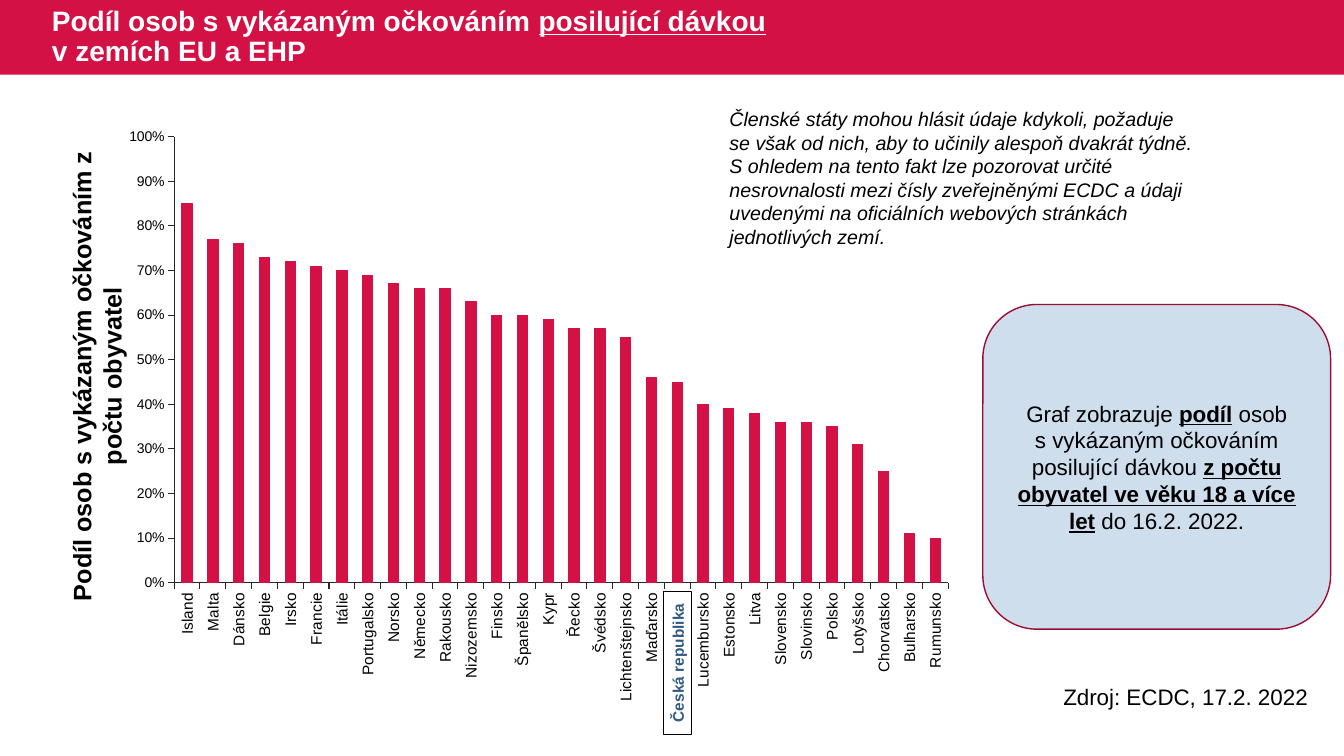
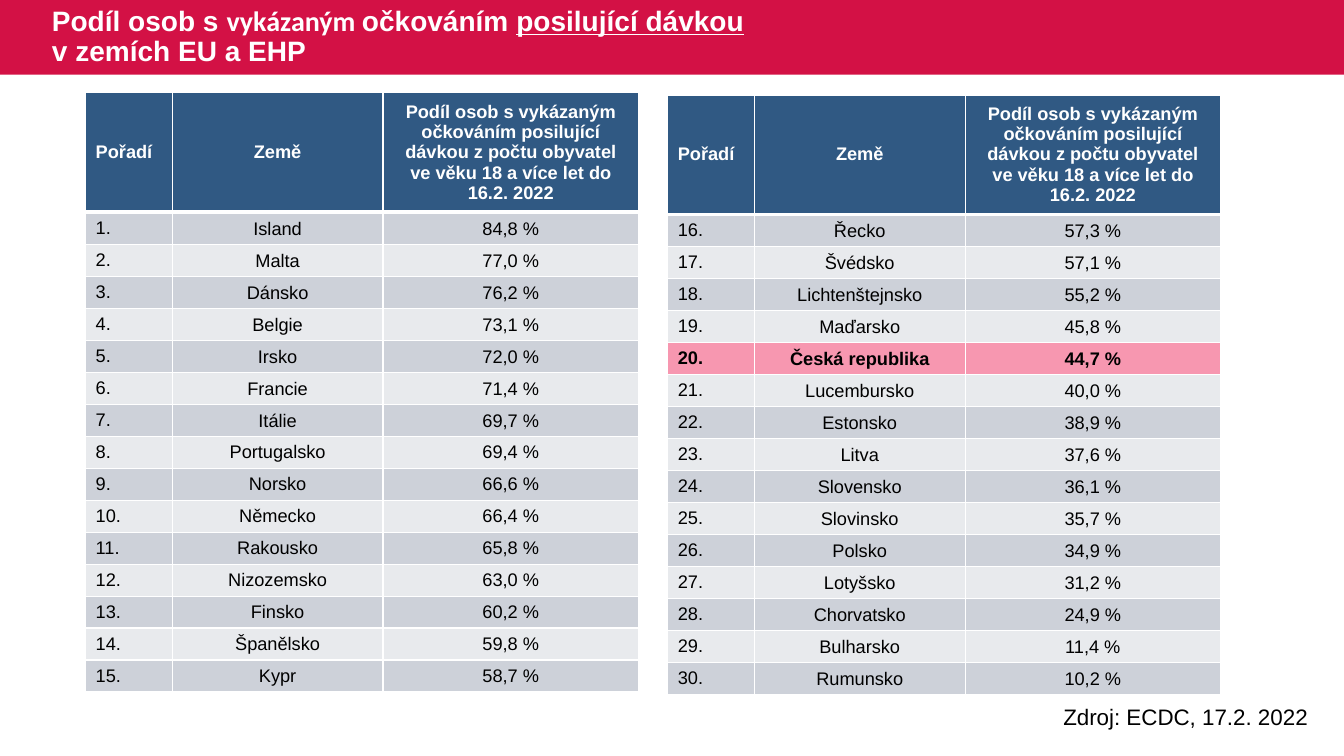
from dataclasses import dataclass, field
from typing import Any, NamedTuple

from lxml import etree
from pptx import Presentation
from pptx import util as u
from pptx.chart import data
from pptx.dml import color
from pptx.enum import chart as ch
from pptx.enum import shapes, text
from pptx.oxml import ns

COLORS = {
    "band": "D31145", "band_dark": "9C0D33", "callout": "CFDEED",
    "header": "305983", "odd": "CDD1D9", "even": "E8EAED", "focus": "F797B0",
    "axis": "262626", "black": "000000", "white": "FFFFFF",
}
FONT = "Arial"
WIDTH, HEIGHT = u.Inches(13.33), u.Inches(7.5)
COLS, ROWS = 32, 18
BAND_ROWS = 1.78
NBSP = chr(160)
FOCUS = "Česká republika"
CENTER = text.PP_ALIGN.CENTER
MIDDLE = text.MSO_ANCHOR.MIDDLE
TOP = text.MSO_ANCHOR.TOP


class Run(NamedTuple):
    text: str
    fmt: dict[str, Any] = {}


class Share(NamedTuple):
    country: str
    percent: float


@dataclass
class Box:
    col: float
    row: float
    cols: float
    rows: float

    def emu(self) -> tuple[int, int, int, int]:
        return across(self.col), down(self.row), across(self.cols), down(self.rows)


@dataclass
class Block:
    box: Box
    runs: list[Run]
    size: float
    color: str = "black"
    fmt: dict[str, Any] = field(default_factory=dict)
    align: Any = None
    anchor: Any = TOP
    spacing: float | None = None
    rotation: int = 0
    shape: Any = None
    fill: str = "white"
    line: str | None = None


SHARES = [Share(*s) for s in (
    ("Island", 84.8), ("Malta", 77.0), ("Dánsko", 76.2), ("Belgie", 73.1),
    ("Irsko", 72.0), ("Francie", 71.4), ("Itálie", 69.7), ("Portugalsko", 69.4),
    ("Norsko", 66.6), ("Německo", 66.4), ("Rakousko", 65.8), ("Nizozemsko", 63.0),
    ("Finsko", 60.2), ("Španělsko", 59.8), ("Kypr", 58.7), ("Řecko", 57.3),
    ("Švédsko", 57.1), ("Lichtenštejnsko", 55.2), ("Maďarsko", 45.8), (FOCUS, 44.7),
    ("Lucembursko", 40.0), ("Estonsko", 38.9), ("Litva", 37.6), ("Slovensko", 36.1),
    ("Slovinsko", 35.7), ("Polsko", 34.9), ("Lotyšsko", 31.2), ("Chorvatsko", 24.9),
    ("Bulharsko", 11.4), ("Rumunsko", 10.2),
)]
HEADINGS = (
    "Pořadí", "Země",
    "Podíl osob s vykázaným očkováním posilující dávkou z počtu obyvatel "
    "ve věku 18 a více let do 16.2. 2022",
)
TABLE_COLS = (2.06, 5.02, 6.08)
TABLE_ROWS, HEADER_ROWS, BODY_ROWS = 14.23, 1.73, 0.6
PER_TABLE = 15
STRONG = {"bold": True, "underline": True}


def across(cols: float) -> int:
    return round(WIDTH * cols / COLS)


def down(rows: float) -> int:
    return round(HEIGHT * rows / ROWS)


def rgb(name: str) -> color.RGBColor:
    return color.RGBColor.from_string(COLORS[name])


def set_font(font: Any, size: float, name: str, fmt: dict[str, Any]) -> None:
    for key, value in {"name": FONT, "size": u.Pt(size), **fmt}.items():
        setattr(font, key, value)
    font.color.rgb = rgb(name)


def set_line(line: Any, name: str, width: float) -> None:
    line.color.rgb = rgb(name)
    line.width = u.Pt(width)


def add_block(s: Any, block: Block) -> None:
    if block.shape is None:
        sp = s.shapes.add_textbox(*block.box.emu())
    else:
        sp = s.shapes.add_shape(block.shape, *block.box.emu())
        sp.shadow.inherit = False
        sp.fill.solid()
        sp.fill.fore_color.rgb = rgb(block.fill)
        if block.line:
            set_line(sp.line, block.line, 1)
        else:
            sp.line.fill.background()
    sp.rotation = block.rotation
    tf = sp.text_frame
    tf.word_wrap = True
    tf.vertical_anchor = block.anchor
    p = tf.paragraphs[0]
    p.alignment = block.align
    p.line_spacing = block.spacing
    for run in block.runs:
        r = p.add_run()
        r.text = run.text
        set_font(r.font, block.size, block.color, {**block.fmt, **run.fmt})


def add_frame(prs: Any, lead: list[Run], source_row: float) -> Any:
    s = prs.slides.add_slide(prs.slide_layouts[6])
    add_block(s, Block(Box(0, 0, COLS, BAND_ROWS), [], 20,
                       shape=shapes.MSO_SHAPE.RECTANGLE, fill="band"))
    title = [*lead, Run("posilující dávkou", {"underline": True}),
             Run(f" v{NBSP}zemích EU a EHP")]
    add_block(s, Block(Box(1, 0, 19.58, BAND_ROWS), title, 20, "white",
                       {"bold": True}, anchor=MIDDLE, spacing=0.9))
    add_block(s, Block(Box(25.08, source_row, 6.9, 0.89), [Run("Zdroj: ECDC, 17.2. 2022")], 16))
    return s


def add_share_chart(s: Any, box: Box) -> None:
    cd = data.CategoryChartData(number_format="0%")
    cd.categories = [share.country for share in SHARES]
    cd.add_series("Podíl", [round(share.percent / 100, 2) for share in SHARES])
    chart = s.shapes.add_chart(ch.XL_CHART_TYPE.COLUMN_CLUSTERED, *box.emu(), cd).chart
    chart.has_legend = chart.has_title = False
    set_font(chart.font, 10, "black", {})
    plot = chart.plots[0]
    plot.gap_width = 150
    plot.vary_by_categories = False
    bars = plot.series[0].format
    bars.fill.solid()
    bars.fill.fore_color.rgb = rgb("band")
    set_line(bars.line, "band", 0.75)
    for axis, size in ((chart.category_axis, 11), (chart.value_axis, 10)):
        axis.has_major_gridlines = False
        axis.major_tick_mark = ch.XL_TICK_MARK.OUTSIDE
        axis.minor_tick_mark = ch.XL_TICK_MARK.NONE
        set_font(axis.tick_labels.font, size, "black", {})
        set_line(axis.format.line, "axis", 0.75)
    scale = {"minimum_scale": 0, "maximum_scale": 1, "major_unit": 0.1}
    for key, value in scale.items():
        setattr(chart.value_axis, key, value)
    labels = chart.value_axis.tick_labels
    labels.number_format, labels.number_format_is_linked = "0%", False
    body = chart.category_axis._element.find(".//" + ns.qn("a:bodyPr"))
    body.set("rot", "-5400000")
    body.set("vert", "horz")
    place_plot(chart, {"x": 0.07, "y": 0.05, "w": 0.91, "h": 0.75})


def place_plot(chart: Any, shares: dict[str, float]) -> None:
    area = chart._chartSpace.find(".//" + ns.qn("c:plotArea"))
    for old in area.findall(ns.qn("c:layout")):
        area.remove(old)
    layout = etree.Element(ns.qn("c:layout"))
    area.insert(0, layout)
    manual = etree.SubElement(layout, ns.qn("c:manualLayout"))
    values = {"layoutTarget": "inner", "xMode": "edge", "yMode": "edge", **shares}
    for tag, value in values.items():
        etree.SubElement(manual, ns.qn("c:" + tag)).set("val", str(value))


def add_borders(cell: Any, bottom: float) -> None:
    tc_pr = cell._tc.get_or_add_tcPr()
    for side, width in {"L": 1, "R": 1, "T": 1, "B": bottom}.items():
        ln = etree.SubElement(tc_pr, ns.qn("a:ln" + side), w=str(u.Pt(width)))
        fill = etree.SubElement(ln, ns.qn("a:solidFill"))
        etree.SubElement(fill, ns.qn("a:srgbClr"), val=COLORS["white"])


def fill_cell(cell: Any, value: str, fill: str, name: str, bold: bool,
              centered: bool, bottom: float) -> None:
    add_borders(cell, bottom)
    cell.fill.solid()
    cell.fill.fore_color.rgb = rgb(fill)
    cell.vertical_anchor = MIDDLE
    p = cell.text_frame.paragraphs[0]
    p.alignment = CENTER if centered else None
    r = p.add_run()
    r.text = value
    set_font(r.font, 13, name, {"bold": bold})


def add_share_table(s: Any, col: float, row: float, first: int) -> None:
    shares = SHARES[first:first + PER_TABLE]
    box = Box(col, row, sum(TABLE_COLS), TABLE_ROWS)
    frame = s.shapes.add_table(len(shares) + 1, len(TABLE_COLS), *box.emu())
    tbl = frame.table
    tbl.horz_banding = False
    for column, cols in zip(tbl.columns, TABLE_COLS):
        column.width = across(cols)
    for i, line in enumerate(tbl.rows):
        line.height = down(BODY_ROWS if i else HEADER_ROWS)
    frame.height = down(TABLE_ROWS)
    for j, heading in enumerate(HEADINGS):
        fill_cell(tbl.cell(0, j), heading, "header", "white", True, j > 0, 3)
    for i, share in enumerate(shares, 1):
        focus = share.country == FOCUS
        fill = "focus" if focus else "odd" if i % 2 else "even"
        percent = f"{share.percent:.1f} %".replace(".", ",")
        for j, value in enumerate((f"{first + i}.", share.country, percent)):
            cell = tbl.cell(i, j)
            fill_cell(cell, value, fill, "black", focus, j > 0, 1)
            if j:
                cell.margin_left = cell.margin_right = cell.margin_top = u.Inches(0.01)
                cell.margin_bottom = 0


def build_chart_slide(prs: Any) -> None:
    s = add_frame(prs, [Run("Podíl osob s vykázaným očkováním ")], 16.15)
    add_share_chart(s, Box(2.73, 2.55, 20.25, 14.16))
    blocks = [
        Block(Box(-3.72, 8.11, 12.05, 1.7),
              [Run("Podíl osob s vykázaným očkováním z počtu obyvatel")], 18,
              fmt={"bold": True}, align=CENTER, rotation=270),
        Block(Box(23.4, 7.25, 8.28, 7.73), [
            Run("Graf zobrazuje "), Run("podíl", STRONG),
            Run(f" osob s{NBSP}vykázaným očkováním posilující{NBSP}dávkou "),
            Run("z počtu obyvatel ve věku 18 a více let", STRONG),
            Run(" do 16.2. 2022."),
        ], 16, align=CENTER, anchor=MIDDLE, fill="callout", line="band_dark",
            shape=shapes.MSO_SHAPE.ROUNDED_RECTANGLE),
        Block(Box(14.43, 15.45, 3.41, 0.67), [Run(FOCUS)], 11, "header",
              {"bold": True}, CENTER, MIDDLE, rotation=270, line="black",
              shape=shapes.MSO_SHAPE.RECTANGLE),
        Block(Box(17.13, 2.43, 11.66, 3.62), [Run(
            "Členské státy mohou hlásit údaje kdykoli, požaduje se však od nich, "
            "aby to učinily alespoň dvakrát týdně. S ohledem na tento fakt lze "
            "pozorovat určité nesrovnalosti mezi čísly zveřejněnými ECDC a údaji "
            "uvedenými na oficiálních webových stránkách jednotlivých zemí.",
        )], 14, fmt={"italic": True}),
    ]
    for block in blocks:
        add_block(s, block)


def build_table_slide(prs: Any) -> None:
    lead = [Run("Podíl osob s "), Run("vykázaným ", {"name": "Calibri"}), Run("očkováním ")]
    s = add_frame(prs, lead, 16.63)
    for k, (col, row) in enumerate(((2.04, 2.21), (15.9, 2.26))):
        add_share_table(s, col, row, k * PER_TABLE)


def main() -> None:
    prs = Presentation()
    prs.slide_width, prs.slide_height = WIDTH, HEIGHT
    build_chart_slide(prs)
    build_table_slide(prs)
    prs.save("out.pptx")


if __name__ == "__main__":
    main()
